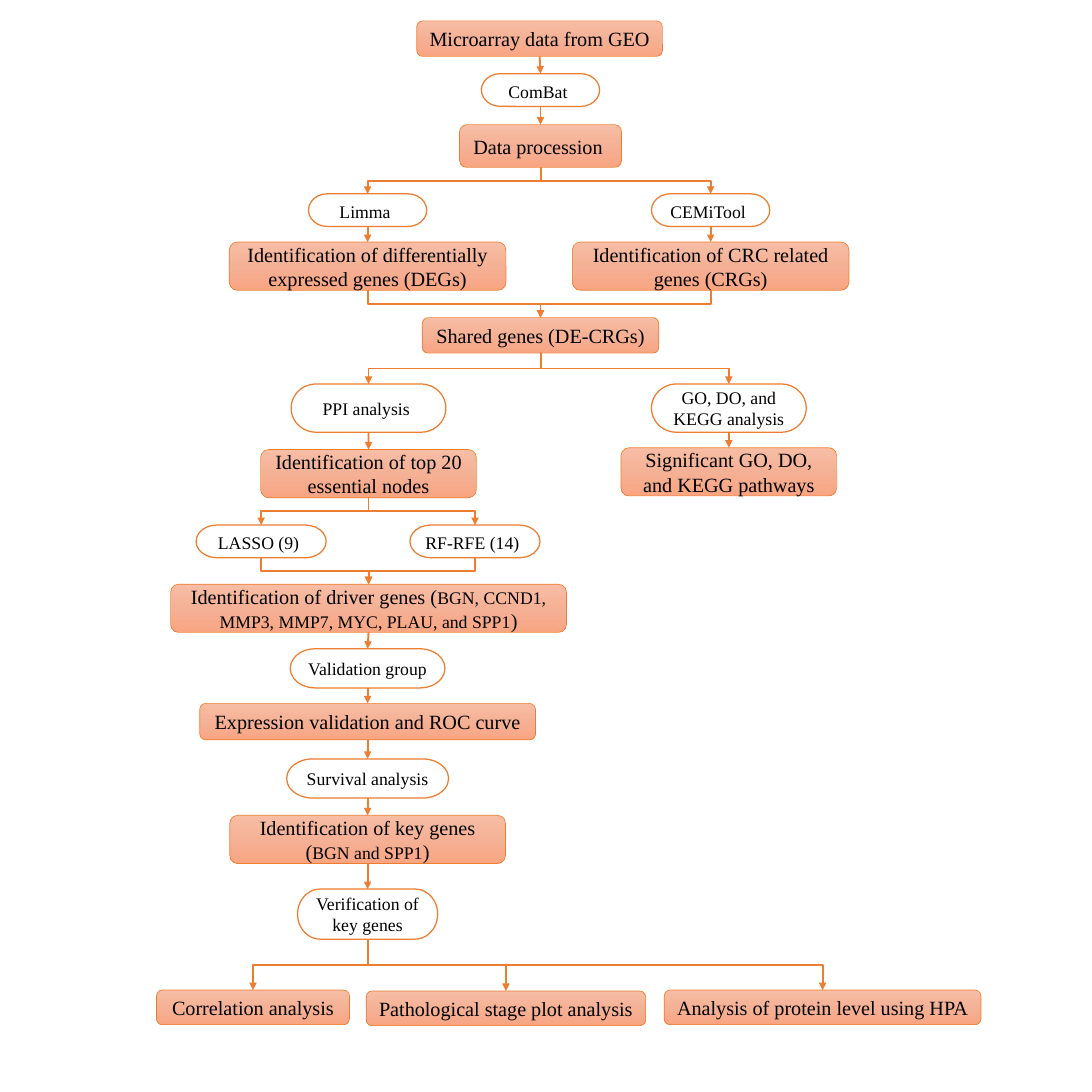
from copy import deepcopy
from pptx import Presentation
from pptx.dml.color import RGBColor
from pptx.enum.shapes import MSO_CONNECTOR as CONNECTOR, MSO_SHAPE as SHAPE
from pptx.enum.text import MSO_ANCHOR as ANCHOR, PP_ALIGN as ALIGN
from pptx.oxml.ns import qn
from pptx.oxml.xmlchemy import OxmlElement
from pptx.util import Inches, Pt

FONT, INK, ORANGE, WHITE = "Times New Roman", "000000", "ED7D31", "FFFFFF"
GRADIENT = ("F7BDA5", "F5B196", "F8A582")
MAIN, LEFT, PPI, RIGHT, PATHWAY, LASSO, FOREST = 5.94, 4.04, 4.05, 7.81, 8.01, 2.87, 5.22

# Results: key -> centre x, top, width, height, runs (sizes alternate 16, 14)
RESULTS = {
    "microarray": (5.93, 0.23, 2.7, 0.39, ["Microarray data from GEO"]),
    "data": (MAIN, 1.37, 1.78, 0.47, ["Data procession "]),
    "degs": (LEFT, 2.66, 3.04, 0.53,
             ["Identification of differentially expressed genes (DEGs)"]),
    "crgs": (RIGHT, 2.66, 3.04, 0.53, ["Identification of CRC related genes (CRGs)"]),
    "shared": (MAIN, 3.49, 2.6, 0.39, ["Shared genes (DE-CRGs)"]),
    "nodes": (PPI, 4.94, 2.37, 0.53, ["Identification of top 20 essential nodes"]),
    "pathways": (PATHWAY, 4.92, 2.37, 0.53, ["Significant GO, DO, and KEGG pathways"]),
    "drivers": (PPI, 6.42, 4.35, 0.53,
                ["Identification of driver genes (",
                 "BGN, CCND1, MMP3, MMP7, MYC, PLAU, and SPP1", ")"]),
    "expression": (LEFT, 7.73, 3.69, 0.4, ["Expression validation and ROC curve"]),
    "key genes": (LEFT, 8.96, 3.03, 0.53,
                  ["Identification of key genes (", "BGN and SPP1", ")"]),
    "correlation": (2.78, 10.88, 2.12, 0.38, ["Correlation analysis"]),
    "stage": (5.56, 10.89, 3.07, 0.38, ["Pathological stage plot analysis"]),
    "protein": (9.04, 10.88, 3.48, 0.38, ["Analysis of protein level using HPA"]),
}

# Methods: same fields (sizes alternate 14, 16)
METHODS = {
    "combat": (MAIN, 0.81, 1.3, 0.36, ["ComBat", " "]),
    "limma": (LEFT, 2.13, 1.3, 0.36, ["Limma", " "]),
    "cemitool": (RIGHT, 2.13, 1.3, 0.36, ["CEMiTool", " "]),
    "ppi": (PPI, 4.22, 1.7, 0.53, ["PPI analysis "]),
    "enrichment": (PATHWAY, 4.22, 1.7, 0.53, ["GO, DO, and KEGG analysis"]),
    "lasso": (LASSO, 5.77, 1.43, 0.36, ["LASSO (9)", " "]),
    "forest": (FOREST, 5.77, 1.43, 0.36, ["RF-RFE (14)", " "]),
    "validation": (LEFT, 7.13, 1.7, 0.43, ["Validation group"]),
    "survival": (LEFT, 8.34, 1.78, 0.43, ["Survival analysis"]),
    "verification": (LEFT, 9.77, 1.54, 0.55, ["Verification of key genes"]),
}

# Flow: each step leads to the steps listed after it
FLOW = {
    "microarray": ["combat"], "combat": ["data"], "data": ["limma", "cemitool"],
    "limma": ["degs"], "cemitool": ["crgs"], "degs": ["shared"], "crgs": ["shared"],
    "shared": ["ppi", "enrichment"], "ppi": ["nodes"], "enrichment": ["pathways"],
    "nodes": ["lasso", "forest"], "lasso": ["drivers"], "forest": ["drivers"],
    "drivers": ["validation"], "validation": ["expression"],
    "expression": ["survival"], "survival": ["key genes"],
    "key genes": ["verification"],
    "verification": ["correlation", "stage", "protein"],
}

presentation = Presentation()
presentation.slide_width = presentation.slide_height = Inches(12)
slide = presentation.slides.add_slide(presentation.slide_layouts[6])


def color(hex_value):
    return RGBColor.from_string(hex_value)


def fill_gradient(shape):
    shape.fill.gradient()
    shape.fill.gradient_angle = 270
    stop_list = shape._element.spPr.find(qn("a:gradFill")).find(qn("a:gsLst"))
    stop_list.append(deepcopy(stop_list[-1]))
    for index, (stop, shade) in enumerate(zip(shape.fill.gradient_stops, GRADIENT)):
        stop.color.rgb = color(shade)
        stop.position = index / 2


def fill_white(shape):
    shape.fill.solid()
    shape.fill.fore_color.rgb = color(WHITE)


def add_step(preset, paint, line_width, sizes, step):
    center, top, width, height, runs = step
    shape = slide.shapes.add_shape(preset, Inches(center - width / 2), Inches(top),
                                   Inches(width), Inches(height))
    shape.shadow.inherit = False
    paint(shape)
    shape.line.color.rgb = color(ORANGE)
    shape.line.width = Pt(line_width)
    frame = shape.text_frame
    frame.word_wrap, frame.vertical_anchor = True, ANCHOR.MIDDLE
    paragraph = frame.paragraphs[0]
    paragraph.alignment = ALIGN.CENTER
    for index, text in enumerate(runs):
        run = paragraph.add_run()
        run.text = text
        run.font.color.rgb = color(INK)
        for name, value in {"name": FONT, "size": Pt(sizes[index % 2])}.items():
            setattr(run.font, name, value)
    return shape


def add_arrow(source, target):
    x1, x2 = (shape.left + shape.width // 2 for shape in (source, target))
    y1, y2 = source.top + source.height, target.top
    straight = abs(x2 - x1) < Inches(0.05)
    kind = CONNECTOR.STRAIGHT if straight else CONNECTOR.ELBOW
    connector = slide.shapes.add_connector(kind, x1, y1, x2, y2)
    connector.begin_connect(source, 2)
    connector.end_connect(target, 0)
    if not straight:
        # A quarter turn makes the elbow leave downwards
        across, down = abs(x2 - x1), y2 - y1
        frame = {"left": (x1 + x2 - down) // 2, "top": (y1 + y2 - across) // 2,
                 "width": down, "height": across}
        for name, value in frame.items():
            setattr(connector, name, value)
        transform = connector._element.spPr.find(qn("a:xfrm"))
        transform.set("rot", str((270 if x2 > x1 else 90) * 60000))
        transform.set("flipH", "1" if x2 > x1 else "0")
    connector.line.color.rgb = color(ORANGE)
    connector.line.width = Pt(1.5)
    head = OxmlElement("a:tailEnd")
    head.set("type", "triangle")
    connector.line._get_or_add_ln().append(head)
    connector._element.spPr.append(OxmlElement("a:effectLst"))


# Steps
shapes = {}
for steps, style in ((RESULTS, (SHAPE.ROUNDED_RECTANGLE, fill_gradient, 0.5, (16, 14))),
                     (METHODS, (SHAPE.FLOWCHART_TERMINATOR, fill_white, 1, (14, 16)))):
    for key, step in steps.items():
        shapes[key] = add_step(*style, step)

# Arrows
for source, targets in FLOW.items():
    for target in targets:
        add_arrow(shapes[source], shapes[target])

presentation.save("out.pptx")
